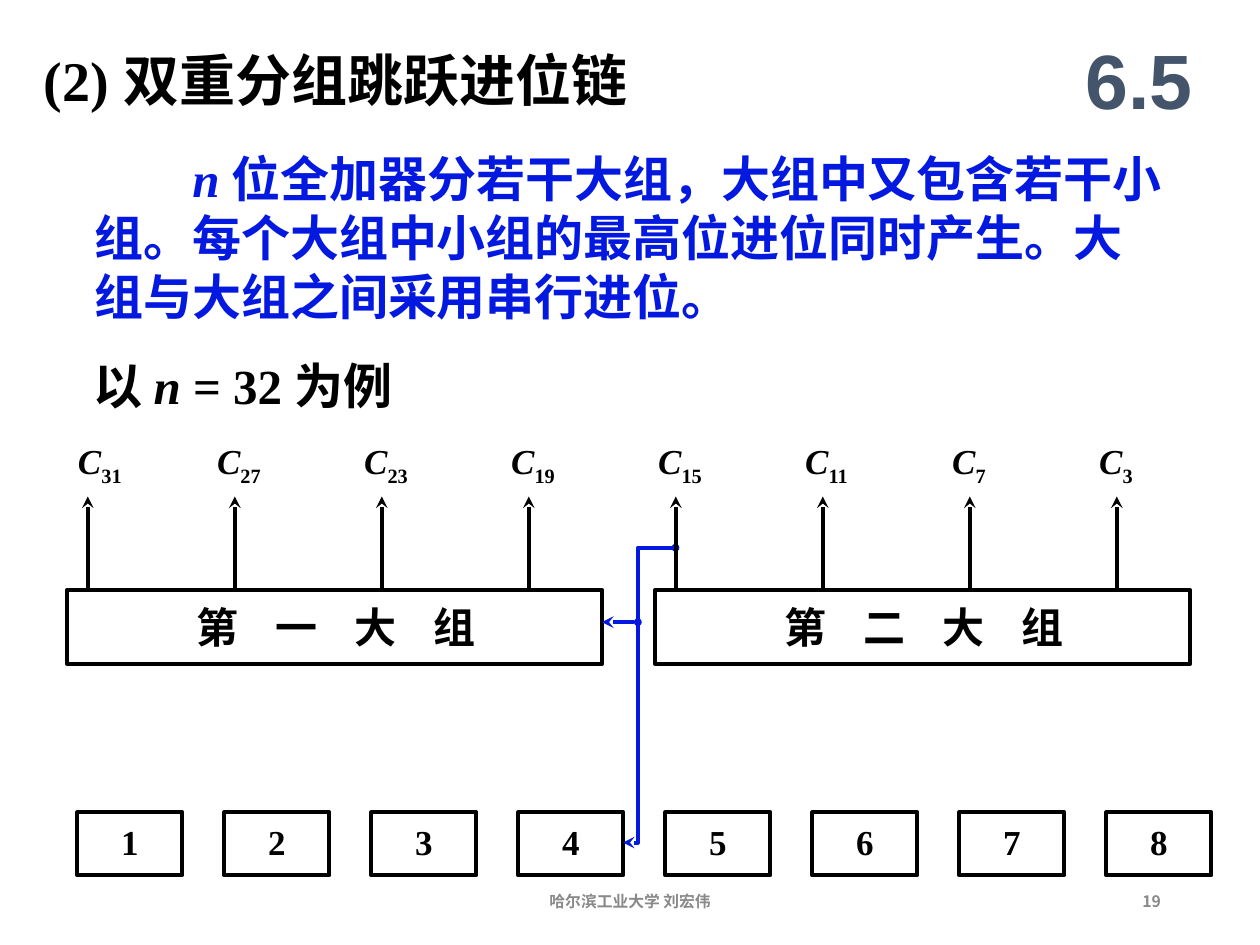
from lxml import etree
from pptx import Presentation
from pptx.dml.color import RGBColor
from pptx.enum.shapes import MSO_CONNECTOR, MSO_SHAPE
from pptx.enum.text import MSO_ANCHOR, PP_ALIGN
from pptx.oxml.ns import qn
from pptx.util import Pt

LEFT, CENTER, RIGHT = PP_ALIGN.LEFT, PP_ALIGN.CENTER, PP_ALIGN.RIGHT
TOP, MIDDLE = MSO_ANCHOR.TOP, MSO_ANCHOR.MIDDLE
RECTANGLE, STRAIGHT = MSO_SHAPE.RECTANGLE, MSO_CONNECTOR.STRAIGHT

BLACK, BLUE, SLATE, GRAY = "000000", "0419E0", "44546A", "898989"
SERIF, SANS, CJK = "Times New Roman", "Arial", "Noto Sans CJK SC"
LINE_WIDTH = 2.25
PITCH = 84  # distance between neighbouring small groups


def color(value):
    return RGBColor.from_string(value)


def write(frame, spans, size, font=SERIF, ink=BLACK, align=LEFT, anchor=MIDDLE,
          margins=(7.2, 3.6), wrap=True, indent=0):
    """Fill a text frame; each span is (text, italic, extra run attributes)."""
    frame.word_wrap = wrap
    frame.vertical_anchor = anchor
    frame.margin_left = frame.margin_right = Pt(margins[0])
    frame.margin_top = frame.margin_bottom = Pt(margins[1])
    para = frame.paragraphs[0]
    para.alignment = align
    if indent:
        para._p.get_or_add_pPr().set("indent", str(Pt(indent)))
    para.font.name, para.font.size, para.font.bold = font, Pt(size), True
    para.font.color.rgb = color(ink)
    for text, italic, extra in spans:
        span = para.add_run()
        span.text = text
        if italic:
            span.font.italic = True
        for name, value in extra.items():
            span._r.get_or_add_rPr().set(name, value)


def add_text(page, box, spans, size, **style):
    frame = page.shapes.add_textbox(*map(Pt, box)).text_frame
    write(frame, spans, size, **style)


def add_block(page, box, text, size, **extra):
    """Outlined rectangle with a centred label."""
    block = page.shapes.add_shape(RECTANGLE, *map(Pt, box))
    block.shadow.inherit = False
    block.fill.background()
    block.line.color.rgb = color(BLACK)
    block.line.width = Pt(LINE_WIDTH)
    write(block.text_frame, [(text, False, extra)], size, align=CENTER)
    return block


def style_line(shape, ink, head=None, tail=None):
    shape.line.color.rgb = color(ink)
    shape.line.width = Pt(LINE_WIDTH)
    outline = shape.line._get_or_add_ln()
    for tag, kind in (("a:headEnd", head), ("a:tailEnd", tail)):
        if kind:
            end = etree.SubElement(outline, qn(tag))
            end.set("type", kind)
            if kind == "oval":
                end.set("w", "sm")
                end.set("len", "sm")


def add_line(page, start, end, ink, **ends):
    line = page.shapes.add_connector(STRAIGHT, *map(Pt, start + end))
    style_line(line, ink, **ends)
    etree.SubElement(line._element.spPr, qn("a:effectLst"))


def add_header(page, left, top):
    add_text(page, (left, top + 6, 570, 54),
             [("(2) 双重分组跳跃进位链", False, {})], 32)
    add_text(page, (left + 588, top, 90, 66), [("6.5", False, {})], 44,
             font=SANS, ink=SLATE, align=CENTER)


def add_explanation(page, left, top):
    body = ("位全加器分若干大组，大组中又包含若干小组。"
            "每个大组中小组的最高位进位同时产生。大组与大组之间采用串行进位。")
    add_text(page, (left, top, 612, 138), [("n ", True, {}), (body, False, {})],
             28, ink=BLUE, margins=(0, 0), indent=56)
    add_text(page, (left - 0.5, top + 139.5, 199, 28),
             [("以 ", False, {}), ("n", True, {}), (" = 32 为例", False, {})],
             28, margins=(0, 0))


def add_carry_outputs(page, left, top):
    """Upward arrows with the carry names above them."""
    for index, carry in enumerate(range(31, 0, -4)):
        x = left + index * PITCH
        add_line(page, (x, top + 90), (x, top + 36), BLACK, tail="stealth")
        nudge = 4.5 if index == 0 else 0
        add_text(page, (x - 17.2 + nudge, top, 42, 34.5),
                 [("C", True, {}), (str(carry), False, {"baseline": "-25000"})],
                 20, anchor=TOP)


def add_large_groups(page, left, top):
    for index, name in enumerate("一二"):
        block = add_block(page, (left + index * 4 * PITCH, top, 306, 42),
                          f"第 {name} 大 组", 24, spc="790")
        # Balance the letter spacing after the last character
        block.text_frame.margin_left = Pt(9)


def add_small_groups(page, left, top):
    for index in range(8):
        block = add_block(page, (left + index * PITCH, top, 60, 36),
                          str(index + 1), 20)
        block.text_frame.margin_bottom = Pt(6)


def add_carry_path(page, left, top):
    """Carry from the second large group into the first one."""
    trunk = left + 20.5
    add_line(page, (left, top + 42.5), (trunk, top + 42.5), BLUE,
             head="stealth", tail="oval")
    points = [(left + 12, top + 168.5), (trunk, top + 168.5),
              (trunk, top), (left + 42, top)]
    start, *rest = [(Pt(x), Pt(y)) for x, y in points]
    builder = page.shapes.build_freeform(*start)
    builder.add_line_segments(rest, close=False)
    path = builder.convert_to_shape()
    path.shadow.inherit = False
    path.fill.background()
    style_line(path, BLUE, head="stealth", tail="oval")


def add_footer(page, left, top):
    add_text(page, (left, top, 243, 29), [("哈尔滨工业大学 刘宏伟", False, {})], 9,
             font=CJK, ink=GRAY, align=CENTER)
    add_text(page, (left + 270, top, 162, 29), [("19", False, {})], 9,
             font=CJK, ink=GRAY, align=RIGHT)


def main():
    deck = Presentation()
    deck.slide_width, deck.slide_height = Pt(720), Pt(540)
    page = deck.slides.add_slide(deck.slide_layouts[6])

    # Heading and text
    add_header(page, 18, 12)
    add_explanation(page, 54, 66.4)

    # Carry chain diagram
    add_small_groups(page, 44.2, 464.2)
    add_large_groups(page, 38.2, 337.3)
    add_carry_path(page, 344, 313)
    add_carry_outputs(page, 50.2, 247.7)

    # Footer
    add_footer(page, 238.5, 500.5)
    deck.save("out.pptx")


if __name__ == "__main__":
    main()
